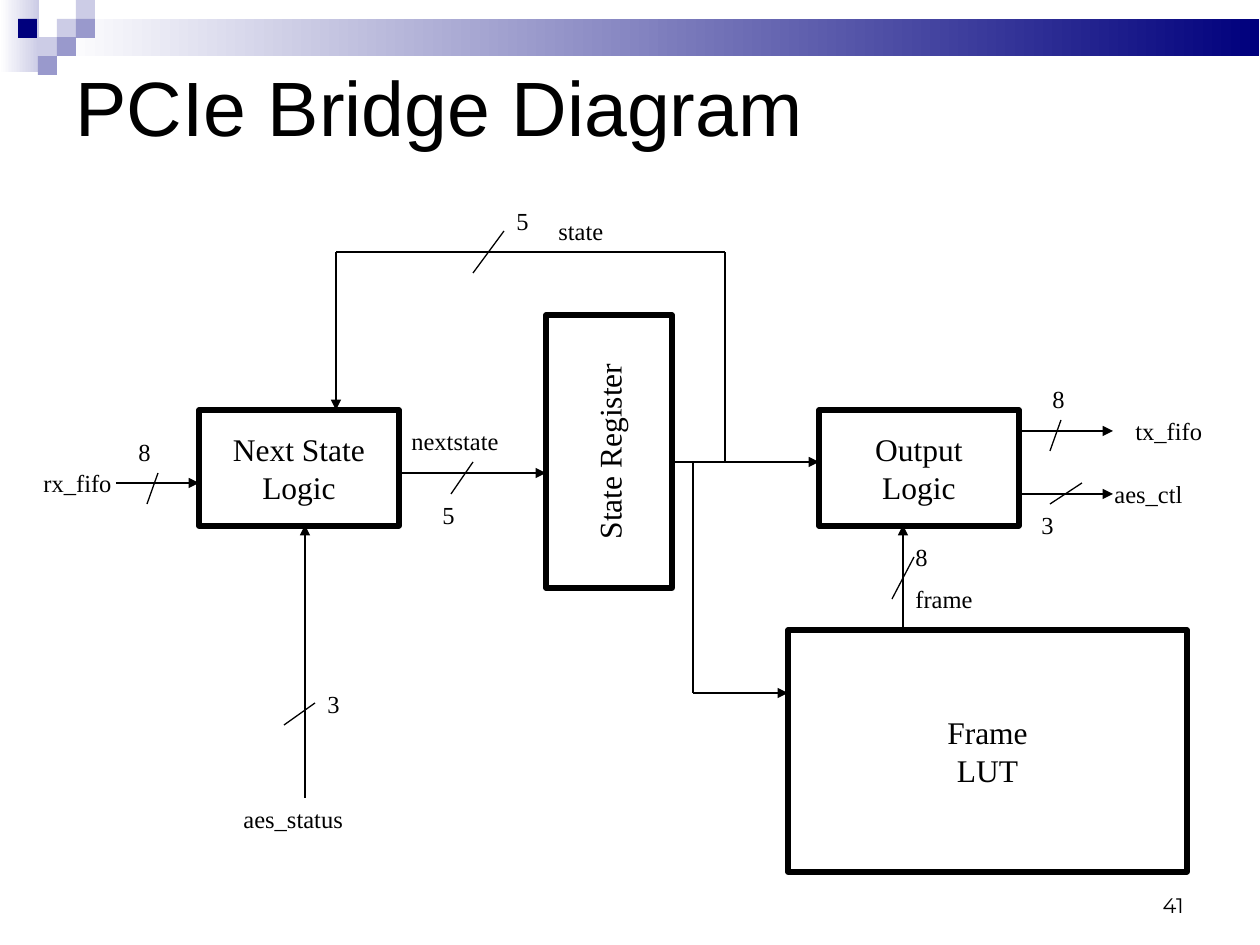
"""Build the PCIe bridge block diagram slide."""
from itertools import pairwise

from lxml import etree
from pptx import Presentation
from pptx import util as u
from pptx.dml import color
from pptx.enum import shapes, text
from pptx.oxml import ns

SCALE = u.Inches(1) / 126
COLORS = {"ink": "000000", "paper": "FFFFFF", "navy": "00007D", "lilac": "9999CC", "pale": "CCCCE6"}
TITLE = "PCIe Bridge Diagram"
TITLE_AREA = (63, 38, 1134, 158)
PAGE_NUMBER = "41"
PAGE_AREA = (903, 882, 293, 42)

GRADIENTS = [((0, 0, 39, 72), "pale"), ((57, 19, 1202, 37), "navy")]
SQUARE = 19
SQUARES = [
    (57, 19, "pale"), (76, 0, "pale"), (76, 19, "lilac"), (38, 37, "pale"),
    (18, 19, "navy"), (57, 37, "lilac"), (38, 56, "lilac"),
]
BLOCKS = [
    (["Next State", "Logic"], (199, 410, 200, 116), "horz"),
    (["Output", "Logic"], (819, 410, 200, 116), "horz"),
    (["State Register"], (546, 315, 126, 273), "vert270"),
    (["Frame", "LUT"], (788, 630, 399, 242), "horz"),
]
LABEL_HEIGHT = 43
LABELS = [
    ("rx_fifo", 31, 462, 95), ("8", 126, 431, 53),
    ("nextstate", 399, 420, 136), ("5", 430, 494, 42),
    ("aes_status", 231, 798, 158), ("3", 315, 683, 42),
    ("5", 504, 200, 42), ("state", 546, 210, 136),
    ("tx_fifo", 1123, 410, 95), ("8", 1040, 378, 53),
    ("aes_ctl", 1102, 473, 158), ("3", 1029, 504, 42),
    ("8", 903, 536, 53), ("frame", 903, 578, 158),
]
WIRES = [
    [(116, 483), (199, 483)],
    [(399, 473), (546, 473)],
    [(305, 798), (305, 525)],
    [(672, 462), (725, 462), (725, 252), (336, 252), (336, 410)],
    [(725, 462), (819, 462)],
    [(693, 462), (693, 693), (788, 693)],
    [(1018, 431), (1113, 431)],
    [(1018, 494), (1113, 494)],
    [(903, 630), (903, 525)],
]
BUS_MARKS = [
    [(158, 473), (147, 504)], [(473, 462), (451, 494)], [(315, 703), (284, 725)],
    [(504, 231), (473, 273)], [(1061, 420), (1050, 451)], [(1082, 483), (1050, 504)],
    [(914, 557), (892, 599)],
]


def px(*values):
    return [round(value * SCALE) for value in values]


def rgb(name):
    return color.RGBColor.from_string(COLORS[name])


def assign(target, values):
    for name, value in values.items():
        setattr(target, name, value)


def write(shape, lines, size, font="Times New Roman", frame_format=None, paragraph_format=None):
    frame = shape.text_frame
    frame.text = "\n".join(lines)
    assign(frame, {"word_wrap": True, "vertical_anchor": text.MSO_ANCHOR.TOP, **(frame_format or {})})
    for paragraph in frame.paragraphs:
        assign(paragraph, paragraph_format or {})
        assign(paragraph.font, {"size": u.Pt(size), "name": font})
        paragraph.font.color.rgb = rgb("ink")


def add_rectangle(slide, area, fill):
    shape = slide.shapes.add_shape(shapes.MSO_SHAPE.RECTANGLE, *px(*area))
    shape.shadow.inherit = False
    shape.fill.solid()
    shape.fill.fore_color.rgb = rgb(fill)
    shape.line.fill.background()
    return shape


def add_gradient(slide, area, start):
    fill = add_rectangle(slide, area, start).fill
    fill.gradient()
    fill.gradient_angle = 180
    for stop, name in zip(fill.gradient_stops, (start, "paper")):
        stop.color.rgb = rgb(name)


def add_block(slide, lines, area, direction):
    shape = add_rectangle(slide, area, "paper")
    shape.line.color.rgb = rgb("ink")
    shape.line.width = u.Pt(3)
    write(shape, lines, 18,
          frame_format={"word_wrap": False, "vertical_anchor": text.MSO_ANCHOR.MIDDLE},
          paragraph_format={"alignment": text.PP_ALIGN.CENTER})
    shape.text_frame._txBody.bodyPr.set("vert", direction)


def add_path(slide, points, arrow=False):
    for start, end in pairwise(points):
        line = slide.shapes.add_connector(shapes.MSO_CONNECTOR.STRAIGHT, *px(*start, *end))
        line.line.color.rgb = rgb("ink")
        line.line.width = u.Pt(0.75)
        if arrow and end == points[-1]:
            etree.SubElement(line.line._get_or_add_ln(), ns.qn("a:tailEnd"), type="triangle")
        etree.SubElement(line._element.spPr, ns.qn("a:effectLst"))


def main():
    presentation = Presentation()
    assign(presentation, dict(zip(("slide_width", "slide_height"), px(1260, 945))))
    slide = presentation.slides.add_slide(presentation.slide_layouts[5])
    for area, start in GRADIENTS:
        add_gradient(slide, area, start)
    for left, top, fill in SQUARES:
        add_rectangle(slide, (left, top, SQUARE, SQUARE), fill)

    title = slide.shapes.title
    assign(title, dict(zip(("left", "top", "width", "height"), px(*TITLE_AREA))))
    write(title, [TITLE], 44, "Arial",
          {"vertical_anchor": text.MSO_ANCHOR.MIDDLE, "auto_size": text.MSO_AUTO_SIZE.NONE},
          {"alignment": text.PP_ALIGN.LEFT, "line_spacing": 0.71})

    for lines, area, direction in BLOCKS:
        add_block(slide, lines, area, direction)
    for points in WIRES:
        add_path(slide, points, arrow=True)
    for points in BUS_MARKS:
        add_path(slide, points)
    for label, left, top, width in LABELS:
        write(slide.shapes.add_textbox(*px(left, top, width, LABEL_HEIGHT)), [label], 14)
    write(slide.shapes.add_textbox(*px(*PAGE_AREA)), [PAGE_NUMBER], 12, "Montserrat",
          {"vertical_anchor": text.MSO_ANCHOR.BOTTOM}, {"alignment": text.PP_ALIGN.RIGHT})
    presentation.save("out.pptx")


if __name__ == "__main__":
    main()
